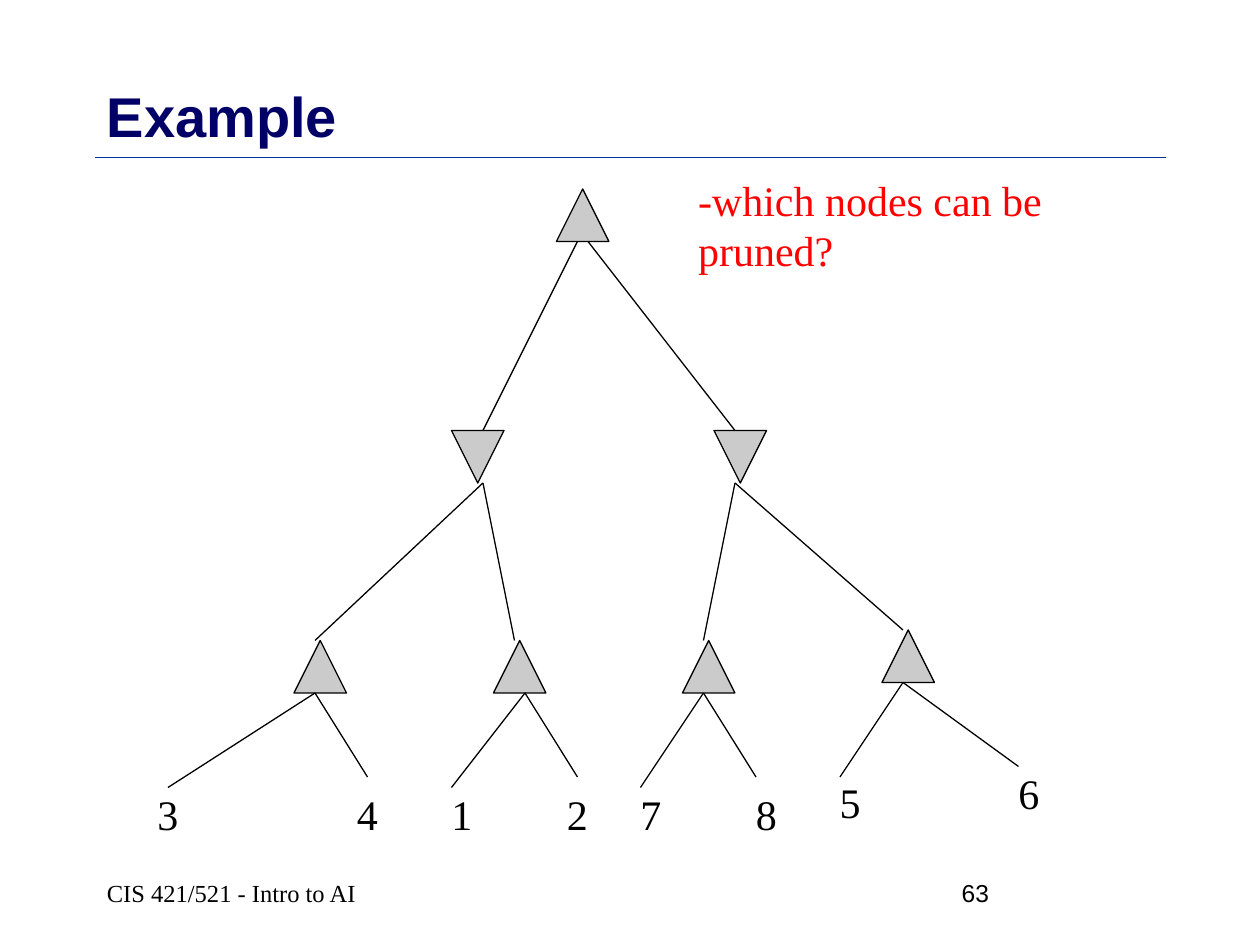
from lxml import etree
from pptx import Presentation
from pptx.dml.color import RGBColor
from pptx.enum.shapes import MSO_CONNECTOR, MSO_SHAPE
from pptx.enum.text import MSO_ANCHOR
from pptx.oxml.ns import qn
from pptx.util import Emu, Pt

PX = 7620  # EMU per px, 120 px to the inch
TRIANGLE = MSO_SHAPE.ISOSCELES_TRIANGLE
STRAIGHT = MSO_CONNECTOR.STRAIGHT
TOP, MIDDLE = MSO_ANCHOR.TOP, MSO_ANCHOR.MIDDLE

BLACK = RGBColor(0x00, 0x00, 0x00)
RED = RGBColor(0xFF, 0x00, 0x00)
NAVY = RGBColor(0x00, 0x00, 0x66)
BLUE = RGBColor(0x00, 0x33, 0x99)
GREY = RGBColor(0xCB, 0xCB, 0xCB)
SANS, SERIF = "Arial", "Times New Roman"

# Tree data, in px relative to the tree's box
NODE_SIZE = 50
MAX_NODES = [(400, 0), (150, 430), (340, 430), (520, 430), (710, 420)]
MIN_NODES = [(300, 230), (550, 230)]
BRANCHES = [
    ((420, 50), [(330, 230)]),
    ((430, 50), [(570, 230)]),
    ((330, 280), [(170, 430), (360, 430)]),
    ((570, 280), [(540, 430), (730, 420)]),
    ((170, 480), [(30, 570), (220, 560)]),
    ((370, 480), [(300, 570), (420, 560)]),
    ((540, 480), [(480, 570), (590, 560)]),
    ((730, 470), [(670, 560), (840, 550)]),
]
LEAVES = [("3", 8, 565), ("4", 198, 565), ("1", 288, 565), ("2", 398, 565),
          ("7", 468, 565), ("8", 578, 565), ("5", 658, 554), ("6", 828, 545)]


def px(*lengths):
    return [Emu(length * PX) for length in lengths]


def add_text(page, text, box, font, anchor=TOP, wrap=True, inset=12):
    frame = page.shapes.add_textbox(*px(*box)).text_frame
    margins = px(inset, 6, 12, 6)
    layout = {"word_wrap": wrap, "vertical_anchor": anchor,
              "margin_left": margins[0], "margin_top": margins[1],
              "margin_right": margins[2], "margin_bottom": margins[3]}
    for name, value in layout.items():
        setattr(frame, name, value)
    span = frame.paragraphs[0].add_run()
    span.text = text
    values = dict(font)
    span.font.color.rgb = values.pop("color")
    for name, value in values.items():
        setattr(span.font, name, value)


def add_line(page, start, end, color=BLACK, width=0.75):
    line = page.shapes.add_connector(STRAIGHT, *px(*start, *end))
    line.line.color.rgb = color
    line.line.width = Pt(width)
    etree.SubElement(line._element.spPr, qn("a:effectLst"))


def add_node(page, left, top, rotation):
    node = page.shapes.add_shape(TRIANGLE, *px(left, top, NODE_SIZE, NODE_SIZE))
    node.rotation = rotation
    node.shadow.inherit = False
    node.fill.solid()
    node.fill.fore_color.rgb = GREY
    node.line.color.rgb = BLACK
    node.line.width = Pt(0.75)


def add_header(page, left, top, width, height):
    rule = top + height + 10
    add_line(page, (left, rule), (left + width, rule), BLUE, 1)
    font = {"name": SANS, "size": Pt(32), "bold": True, "color": NAVY}
    add_text(page, "Example", (left, top, width, height), font, MIDDLE)


def add_tree(page, left, top):
    # Max nodes point up, min nodes point down
    for nodes, rotation in ((MAX_NODES, 0), (MIN_NODES, 180)):
        for x, y in nodes:
            add_node(page, left + x, top + y, rotation)
    # Branches
    for (x, y), ends in BRANCHES:
        for end_x, end_y in ends:
            add_line(page, (left + x, top + y), (left + end_x, top + end_y))
    # Leaf values
    font = {"name": SERIF, "size": Pt(24), "color": BLACK}
    for value, x, y in LEAVES:
        add_text(page, value, (left + x, top + y, 41, 48), font, wrap=False)


def add_question(page, left, top, width, height):
    font = {"name": SERIF, "size": Pt(24), "color": RED}
    add_text(page, "-which nodes can be pruned?", (left, top, width, height), font)


def add_footer(page, left, top, width, height):
    font = {"name": SERIF, "size": Pt(14), "color": BLACK}
    add_text(page, "CIS 421/521 - Intro to AI", (left, top, 310, height),
             font, MIDDLE)
    add_text(page, "63", (left + width - 250, top, 250, height),
             {**font, "name": SANS}, MIDDLE, inset=56)


def main():
    deck = Presentation()
    deck.slide_width, deck.slide_height = px(1200, 900)
    page = deck.slides.add_slide(deck.slide_layouts[6])
    add_header(page, 90, 80, 1020, 60)
    add_tree(page, 130, 180)
    add_question(page, 653, 160, 418, 84)
    add_footer(page, 90, 820, 1020, 60)
    deck.save("out.pptx")


if __name__ == "__main__":
    main()
